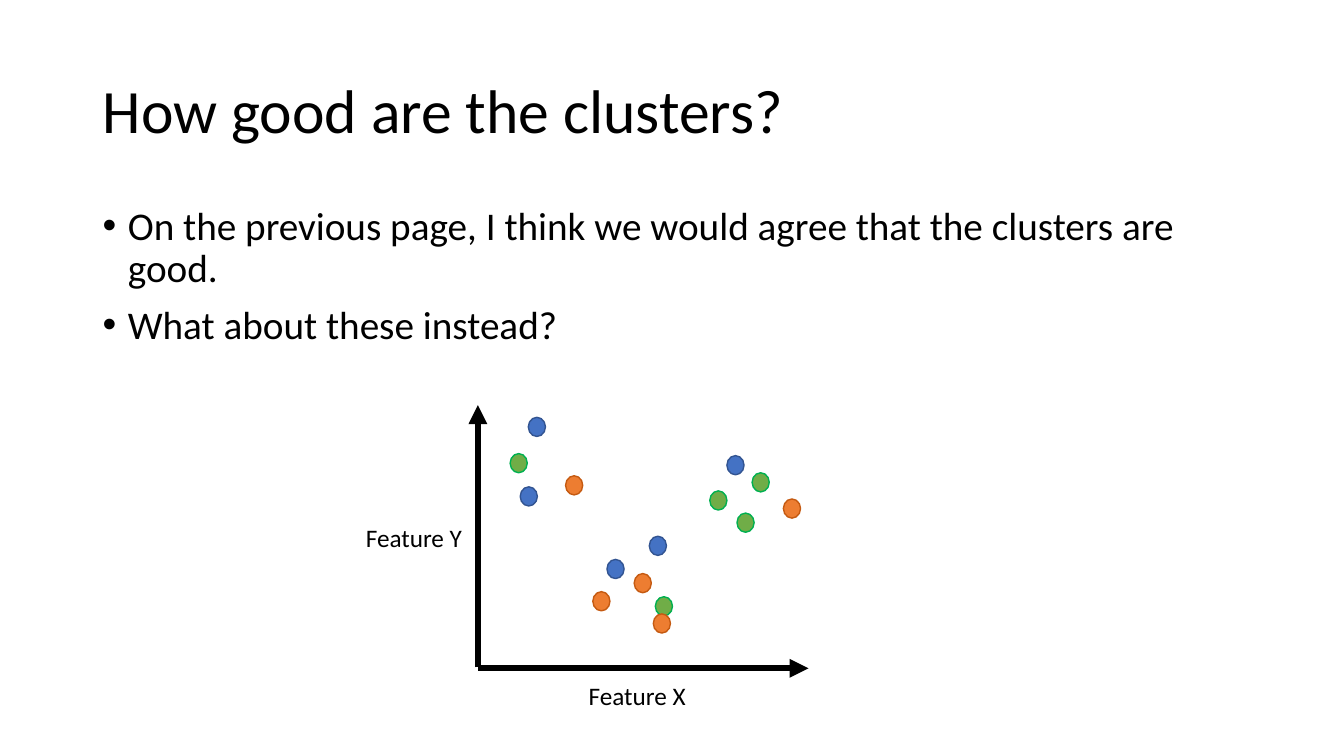
from dataclasses import dataclass

import lxml.etree
import pptx
import pptx.dml.color
import pptx.enum.shapes
import pptx.enum.text
import pptx.oxml.ns
import pptx.slide
import pptx.text.text
import pptx.util

RGBColor = pptx.dml.color.RGBColor
Inches = pptx.util.Inches
Pt = pptx.util.Pt
qn = pptx.oxml.ns.qn
Anchor = pptx.enum.text.MSO_ANCHOR

BLACK = RGBColor(0x00, 0x00, 0x00)
BLUE = RGBColor(0x44, 0x72, 0xC4)
DARK_BLUE = RGBColor(0x32, 0x54, 0x91)
GREEN = RGBColor(0x70, 0xAD, 0x47)
DARK_GREEN = RGBColor(0x00, 0xB0, 0x50)
ORANGE = RGBColor(0xED, 0x7D, 0x31)
DARK_ORANGE = RGBColor(0xC5, 0x5A, 0x11)

FONT = "Calibri"
POINT_WIDTH, POINT_HEIGHT = 0.17, 0.19


@dataclass(frozen=True)
class Cluster:
    fill: RGBColor
    outline: RGBColor
    points: tuple[tuple[float, float], ...]


@dataclass(frozen=True)
class Axis:
    start: tuple[float, float]
    end: tuple[float, float]


@dataclass(frozen=True)
class TextBlock:
    paragraphs: tuple[str, ...]
    left: float
    top: float
    width: float
    height: float
    size: float
    anchor: Anchor = Anchor.TOP
    line_spacing: float = 1.0
    bulleted: bool = False


CLUSTERS = (
    Cluster(BLUE, DARK_BLUE,
            ((5.24, 4.14), (7.21, 4.52), (6.02, 5.55), (6.44, 5.32), (5.16, 4.83))),
    Cluster(GREEN, DARK_GREEN,
            ((5.06, 4.5), (7.46, 4.69), (7.04, 4.87), (6.5, 5.92), (7.31, 5.09))),
    Cluster(ORANGE, DARK_ORANGE,
            ((5.61, 4.72), (6.29, 5.69), (5.88, 5.87), (6.48, 6.09), (7.77, 4.95))),
)

AXES = (
    Axis((4.74, 6.63), (8.02, 6.63)),
    Axis((4.74, 6.62), (4.74, 4.02)),
)

TITLE = TextBlock(("How good are the clusters?",), 0.92, 0.4, 11.5, 1.45, 44,
                  anchor=Anchor.MIDDLE, line_spacing=0.9)
DISCUSSION = TextBlock(
    ("On the previous page, I think we would agree that the clusters are good.",
     "What about these instead?"),
    0.92, 2, 11.5, 4.76, 28, line_spacing=0.9, bulleted=True)
AXIS_LABELS = (
    TextBlock(("Feature X",), 5.74, 6.7, 2.21, 0.4, 18),
    TextBlock(("Feature Y",), 3.53, 5.13, 2.21, 0.4, 18),
)


def add_bullet(paragraph: pptx.text.text._Paragraph) -> None:
    paragraph.space_before = Pt(10)
    properties = paragraph._p.get_or_add_pPr()
    properties.set("marL", str(Inches(0.25)))
    properties.set("indent", str(Inches(-0.25)))
    lxml.etree.SubElement(properties, qn("a:buFont")).set("typeface", "Arial")
    lxml.etree.SubElement(properties, qn("a:buChar")).set("char", "•")


def add_text(slide: pptx.slide.Slide, block: TextBlock) -> None:
    frame = slide.shapes.add_textbox(
        Inches(block.left), Inches(block.top),
        Inches(block.width), Inches(block.height)).text_frame
    frame.word_wrap = True
    frame.vertical_anchor = block.anchor
    for index, text in enumerate(block.paragraphs):
        paragraph = frame.add_paragraph() if index else frame.paragraphs[0]
        paragraph.line_spacing = block.line_spacing
        if block.bulleted:
            add_bullet(paragraph)
        run = paragraph.add_run()
        run.text = text
        run.font.name = FONT
        run.font.size = Pt(block.size)
        run.font.color.rgb = BLACK


def add_cluster(slide: pptx.slide.Slide, cluster: Cluster) -> None:
    for left, top in cluster.points:
        point = slide.shapes.add_shape(
            pptx.enum.shapes.MSO_SHAPE.OVAL, Inches(left), Inches(top),
            Inches(POINT_WIDTH), Inches(POINT_HEIGHT))
        point.shadow.inherit = False
        point.fill.solid()
        point.fill.fore_color.rgb = cluster.fill
        point.line.color.rgb = cluster.outline
        point.line.width = Pt(1)


def add_axis(slide: pptx.slide.Slide, axis: Axis) -> None:
    arrow = slide.shapes.add_connector(
        pptx.enum.shapes.MSO_CONNECTOR.STRAIGHT,
        *map(Inches, axis.start + axis.end))
    arrow.line.color.rgb = BLACK
    arrow.line.width = Pt(4.5)
    properties = arrow._element.spPr
    outline = properties.find(qn("a:ln"))
    lxml.etree.SubElement(outline, qn("a:tailEnd")).set("type", "triangle")
    lxml.etree.SubElement(properties, qn("a:effectLst"))


def main() -> None:
    presentation = pptx.Presentation()
    presentation.slide_width = Inches(13.33)
    presentation.slide_height = Inches(7.5)
    slide = presentation.slides.add_slide(presentation.slide_layouts[6])

    add_text(slide, TITLE)
    add_text(slide, DISCUSSION)
    for cluster in CLUSTERS:
        add_cluster(slide, cluster)
    for axis in AXES:
        add_axis(slide, axis)
    for label in AXIS_LABELS:
        add_text(slide, label)

    presentation.save("out.pptx")


if __name__ == "__main__":
    main()
